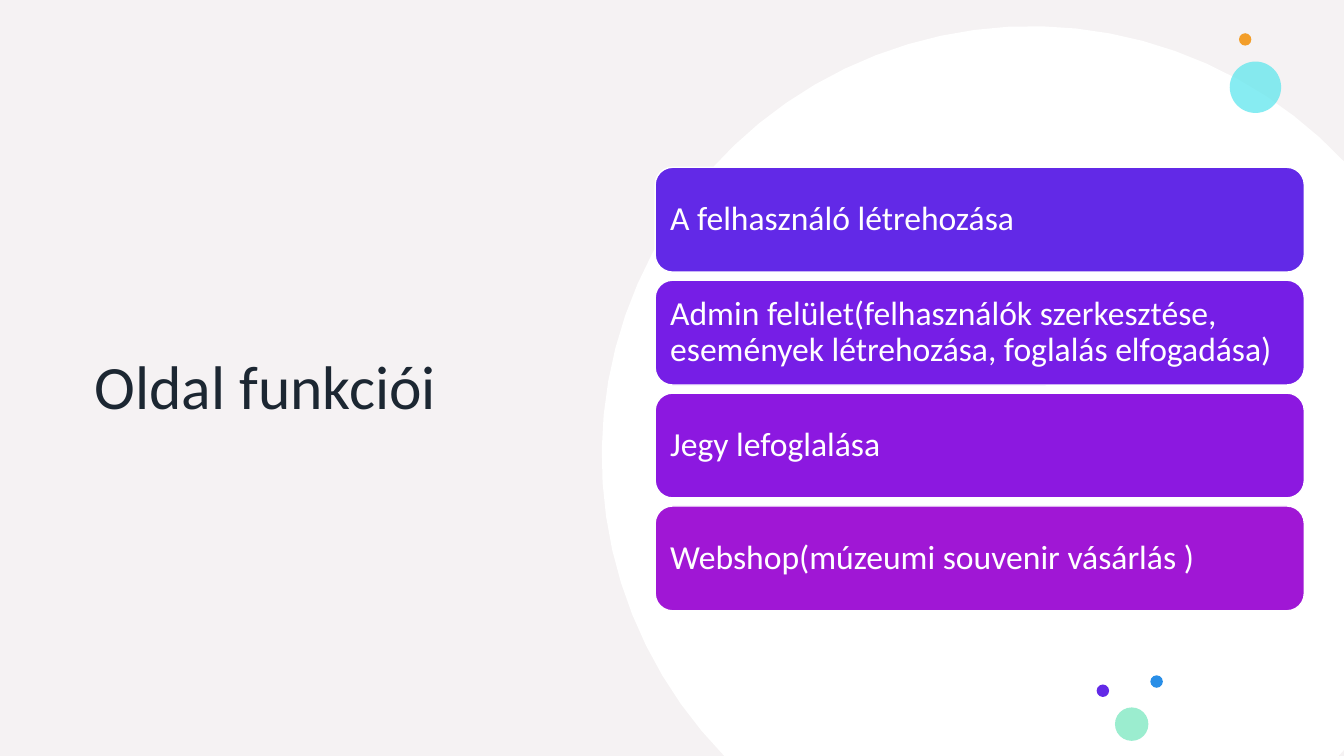
from math import acos, asin, cos, pi, sin

from lxml import etree
from pptx import Presentation
from pptx.dml.color import RGBColor
from pptx.enum.shapes import MSO_SHAPE
from pptx.enum.text import MSO_ANCHOR, PP_ALIGN
from pptx.oxml.ns import qn
from pptx.util import Inches, Pt

ROUND = MSO_SHAPE.ROUNDED_RECTANGLE
OVAL = MSO_SHAPE.OVAL
MIDDLE = MSO_ANCHOR.MIDDLE
LEFT = PP_ALIGN.LEFT
WIDE, HIGH = 40 / 3, 7.5

CARDS = [
    ("A felhasználó létrehozása", "6229E7"),
    ("Admin felület(felhasználók szerkesztése, "
     "események létrehozása, foglalás elfogadása)", "761EE6"),
    ("Jegy lefoglalása", "8C18E0"),
    ("Webshop(múzeumi souvenir vásárlás )", "A017D5"),
]
# Left, top and size as shares of the group's width, then colour and opacity
TOP_DOTS = [(0, 0.55, 1, "5AE6ED", 72), (0.18, 0, 0.24, "F39E29", 100)]
LOW_DOTS = [
    (0.82, 0, 0.19, "298EE7", 100),
    (0.28, 0.49, 0.51, "9BEDCF", 100),
    (0, 0.14, 0.19, "6229E7", 100),
]


def paint(fill, color, alpha=100):
    fill.solid()
    fill.fore_color.rgb = RGBColor.from_string(color)
    if alpha < 100:
        tint = fill._xPr.find(qn("a:solidFill"))[0]
        etree.SubElement(tint, qn("a:alpha"), val=str(alpha * 1000))


def write(shape, text, size, color):
    frame = shape.text_frame
    frame.word_wrap = True
    frame.vertical_anchor = MIDDLE
    frame.margin_left = frame.margin_right = Inches(0.1)
    par = frame.paragraphs[0]
    par.alignment = LEFT
    par.line_spacing = 0.9
    run = par.add_run()
    run.text = text
    run.font.name = "Calibri"
    run.font.size = Pt(size)
    run.font.color.rgb = RGBColor.from_string(color)


def add(slide, kind, box, color, alpha=100):
    shape = slide.shapes.add_shape(kind, *map(Inches, box))
    shape.shadow.inherit = False
    paint(shape.fill, color, alpha)
    shape.line.fill.background()
    return shape


def disc(slide, x, y, radius, steps=40):
    """Draw a white circle cut off at the slide's right and bottom edges."""
    start = pi - asin((HIGH - y) / radius)
    end = 2 * pi - acos((WIDE - x) / radius)
    turns = [start + (end - start) * n / steps for n in range(steps + 1)]
    points = [(x + radius * cos(t), y + radius * sin(t)) for t in turns]
    points += [(WIDE, 7.44), (13.28, HIGH)]
    points = [(Inches(px), Inches(py)) for px, py in points]
    outline = slide.shapes.build_freeform(*points[0])
    outline.add_line_segments(points[1:], close=True)
    shape = outline.convert_to_shape()
    shape.shadow.inherit = False
    paint(shape.fill, "FFFFFF")
    shape.line.fill.background()


def dots(slide, left, top, width, items):
    for x, y, size, color, alpha in items:
        box = (left + x * width, top + y * width, size * width, size * width)
        add(slide, OVAL, box, color, alpha)


def title(slide, box, text):
    write(slide.shapes.add_textbox(*map(Inches, box)), text, 44, "1C2732")


def cards(slide, left, top, width, height, gap=0.08):
    tall = (height - gap * (len(CARDS) - 1)) / len(CARDS)
    for row, (text, color) in enumerate(CARDS):
        box = (left, top + row * (tall + gap), width, tall)
        card = add(slide, ROUND, box, color)
        paint(card.line.fill, "FFFFFF")
        card.line.width = Pt(1)
        write(card, text, 24, "FFFFFF")


def main():
    deck = Presentation()
    deck.slide_width, deck.slide_height = Inches(WIDE), Inches(HIGH)
    slide = deck.slides.add_slide(deck.slide_layouts[6])
    paint(slide.background.fill, "F5F2F3")
    title(slide, (0.84, 1.04, 5.04, 5.64), "Oldal funkciói")
    disc(slide, 10.23, 4.52, 4.26)
    dots(slide, 12.2, 0.33, 0.51, TOP_DOTS)
    dots(slide, 10.88, 6.7, 0.65, LOW_DOTS)
    cards(slide, 6.5, 1.66, 6.44, 4.4)
    deck.save("out.pptx")


if __name__ == "__main__":
    main()
